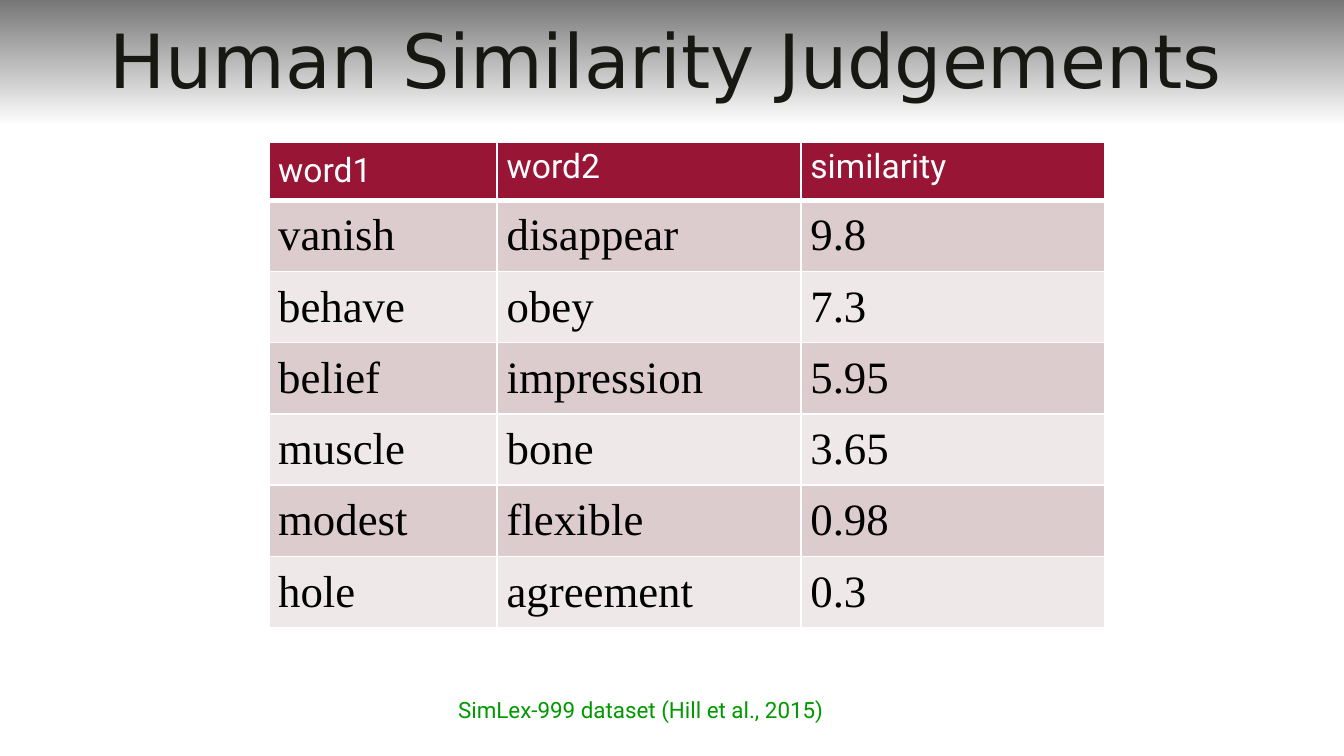
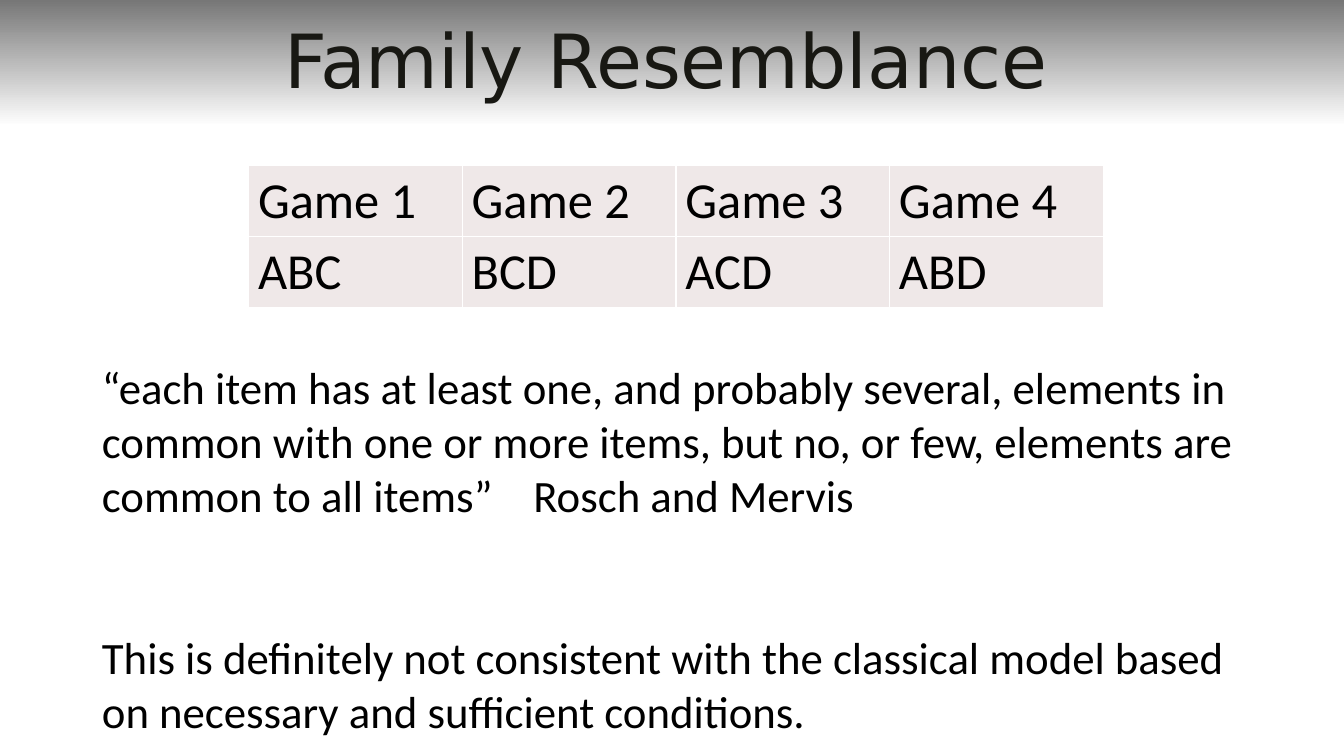
import pptx
import pptx.dml.color
import pptx.enum.shapes
import pptx.enum.text
import pptx.oxml
import pptx.oxml.ns
import pptx.util
from pptx.util import Inches

RGBColor = pptx.dml.color.RGBColor
MIDDLE = pptx.enum.text.MSO_ANCHOR.MIDDLE
TOP = pptx.enum.text.MSO_ANCHOR.TOP
CENTER = pptx.enum.text.PP_ALIGN.CENTER

WHITE = RGBColor(0xFF, 0xFF, 0xFF)
BLACK = RGBColor(0, 0, 0)
BAND_GREY = RGBColor(0x77, 0x77, 0x77)
TITLE_INK = RGBColor(0x18, 0x18, 0x13)
CRIMSON = RGBColor(0x98, 0x15, 0x35)
ROSE = RGBColor(0xDD, 0xCC, 0xCE)
PALE_ROSE = RGBColor(0xEF, 0xE8, 0xE8)
GREEN = RGBColor(0x00, 0x99, 0x00)

# Font styles: name, size in points, colour
TITLE_STYLE = ("DejaVu Sans", 40, TITLE_INK)
HEADER_STYLE = ("Roboto", 18, WHITE)
WORD_STYLE = ("Times New Roman", 24, BLACK)
GAME_STYLE = ("Calibri", 27, BLACK)
QUOTE_STYLE = ("Calibri", 24, BLACK)
SOURCE_STYLE = ("Roboto", 12, GREEN)

# Content
SIMILARITY_TITLE = "Human Similarity Judgements"
SIMILARITY_ROWS = [
    ("word1", "word2", "similarity"),
    ("vanish", "disappear", "9.8"),
    ("behave", "obey", "7.3"),
    ("belief", "impression", "5.95"),
    ("muscle", "bone", "3.65"),
    ("modest", "flexible", "0.98"),
    ("hole", "agreement", "0.3"),
]
DATASET_SOURCE = "SimLex-999 dataset (Hill et al., 2015)"

FAMILY_TITLE = "Family Resemblance"
GAME_ROWS = [
    ("Game 1", "Game 2", "Game 3", "Game 4"),
    ("ABC", "BCD", "ACD", "ABD"),
]
QUOTE_PARAGRAPHS = [
    "“each item has at least one, and probably several, elements in common "
    "with one or more items, but no, or few, elements are common to all "
    "items”\tRosch and Mervis",
    "This is definitely not consistent with the classical model based on "
    "necessary and sufficient conditions.",
]
ROW_HEIGHT = 0.53
HEADER_HEIGHT = 0.43


def style_paragraph(paragraph, style):
    for run in paragraph.runs:
        run.font.name, size, run.font.color.rgb = style
        run.font.size = pptx.util.Pt(size)


def add_text(slide, box, paragraphs, style, wrap=True):
    text_frame = slide.shapes.add_textbox(*map(Inches, box)).text_frame
    text_frame.word_wrap = wrap
    text_frame.text = "\n".join(paragraphs)
    for paragraph in text_frame.paragraphs:
        style_paragraph(paragraph, style)
    return text_frame


def add_titled_slide(presentation, title):
    slide = presentation.slides.add_slide(presentation.slide_layouts[6])
    band = slide.shapes.add_shape(
        pptx.enum.shapes.MSO_SHAPE.RECTANGLE, 0, 0, Inches(10), Inches(0.94))
    band.shadow.inherit = False
    band.line.fill.background()
    band.fill.gradient()
    band.fill.gradient_angle = 270
    for stop, color, position in zip(
            band.fill.gradient_stops, (BAND_GREY, WHITE), (0, 1)):
        stop.color.rgb = color
        stop.position = position
    text_frame = add_text(slide, (0.08, 0, 9.75, 0.88), [title], TITLE_STYLE)
    text_frame.vertical_anchor = MIDDLE
    text_frame.paragraphs[0].alignment = CENTER
    return slide


def set_borders(cell, bottom):
    widths = {"lnL": 1, "lnR": 1, "lnT": 1, "lnB": bottom}
    properties = cell._tc.get_or_add_tcPr()
    for index, (side, width) in enumerate(widths.items()):
        properties.insert(index, pptx.oxml.parse_xml(
            f'<a:{side} {pptx.oxml.ns.nsdecls("a")} w="{pptx.util.Pt(width)}">'
            f'<a:solidFill><a:srgbClr val="{WHITE}"/></a:solidFill></a:{side}>'))


def add_table(slide, left, top, column_widths, row_heights, rows):
    frame = slide.shapes.add_table(
        len(rows), len(column_widths), Inches(left), Inches(top),
        Inches(sum(column_widths)), Inches(sum(row_heights)))
    table = frame.table
    table.first_row = table.horz_banding = False
    for column, width in zip(table.columns, column_widths):
        column.width = Inches(width)
    for row, height, texts in zip(table.rows, row_heights, rows):
        row.height = Inches(height)
        for cell, text in zip(row.cells, texts):
            cell.text = text
            cell.margin_left = cell.margin_right = Inches(0.07)
            cell.margin_top = cell.margin_bottom = Inches(0.04)
    return table


def style_cell(cell, fill, style, anchor, bottom=1):
    cell.fill.solid()
    cell.fill.fore_color.rgb = fill
    cell.vertical_anchor = anchor
    style_paragraph(cell.text_frame.paragraphs[0], style)
    set_borders(cell, bottom)


def build_similarity_slide(presentation):
    slide = add_titled_slide(presentation, SIMILARITY_TITLE)
    heights = [HEADER_HEIGHT] + [ROW_HEIGHT] * (len(SIMILARITY_ROWS) - 1)
    table = add_table(slide, 2, 1.06, (1.7, 2.26, 2.26), heights, SIMILARITY_ROWS)
    for row_index, row in enumerate(table.rows):
        for column_index, cell in enumerate(row.cells):
            if row_index == 0:
                anchor = TOP if column_index else MIDDLE
                style_cell(cell, CRIMSON, HEADER_STYLE, anchor, bottom=3)
            else:
                fill = ROSE if row_index % 2 else PALE_ROSE
                style_cell(cell, fill, WORD_STYLE, MIDDLE)
    add_text(slide, (3.31, 5.13, 3.01, 0.3), [DATASET_SOURCE], SOURCE_STYLE,
             wrap=False)


def build_family_slide(presentation):
    slide = add_titled_slide(presentation, FAMILY_TITLE)
    table = add_table(slide, 1.85, 1.23, [1.59] * 4, [ROW_HEIGHT] * 2, GAME_ROWS)
    for cell in table.iter_cells():
        style_cell(cell, PALE_ROSE, GAME_STYLE, TOP)

    # Quotation, its authors set off by a tab, then the conclusion
    text_frame = add_text(slide, (0.66, 2.63, 8.75, 2.93), QUOTE_PARAGRAPHS,
                          QUOTE_STYLE)
    quotation, conclusion = text_frame.paragraphs
    quotation._p.get_or_add_pPr().append(pptx.oxml.parse_xml(
        f'<a:tabLst {pptx.oxml.ns.nsdecls("a")}>'
        f'<a:tab pos="{Inches(3.21)}" algn="l"/></a:tabLst>'))
    conclusion.space_before = pptx.util.Pt(58)


def main():
    presentation = pptx.Presentation()
    # Widescreen, 16 to 9
    presentation.slide_width = Inches(10)
    presentation.slide_height = Inches(10) * 9 // 16
    build_similarity_slide(presentation)
    build_family_slide(presentation)
    presentation.save("out.pptx")


if __name__ == "__main__":
    main()
